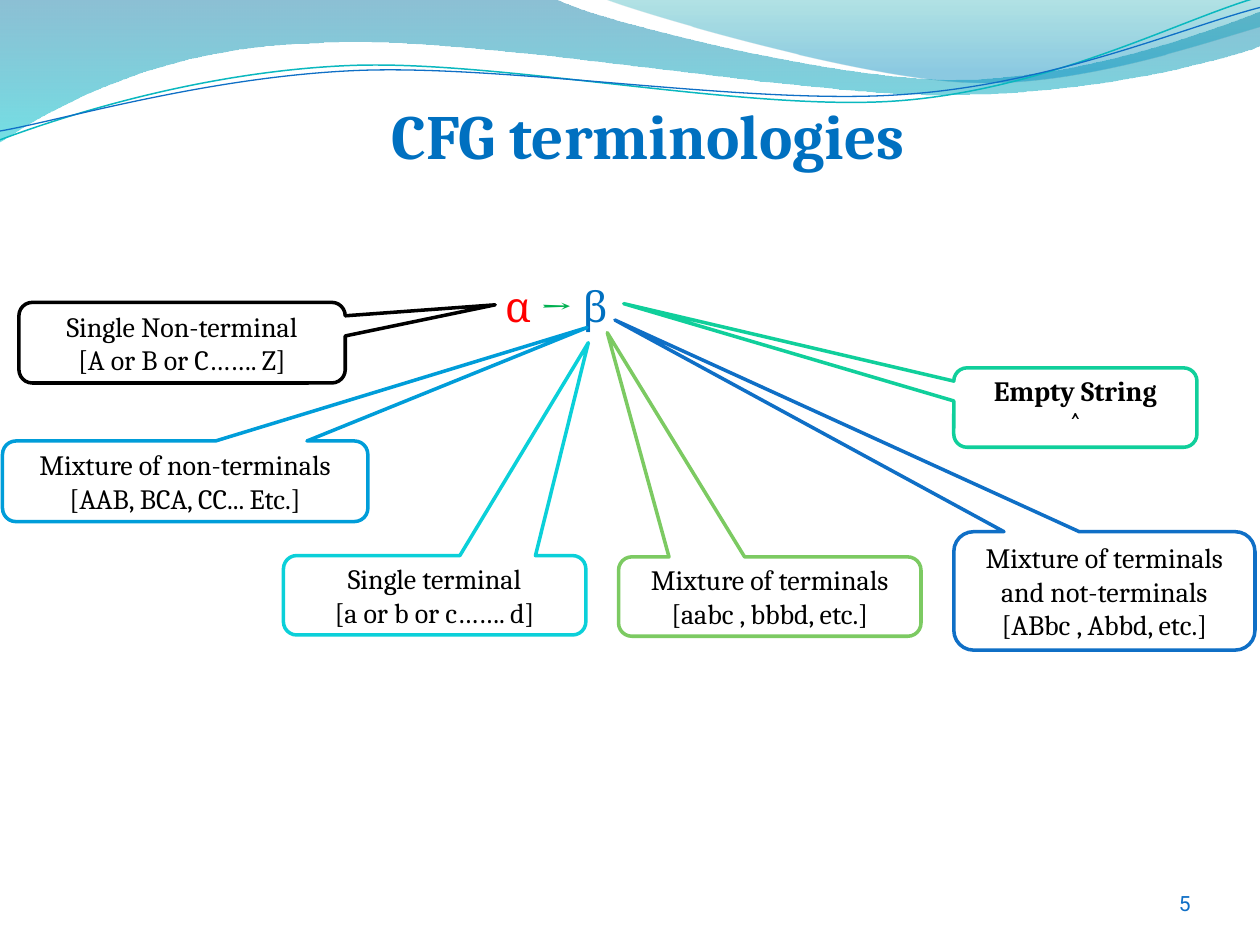
from dataclasses import dataclass
from math import cos, radians, sin

from pptx import Presentation
from pptx.dml.color import RGBColor
from pptx.enum.shapes import MSO_SHAPE
from pptx.enum.text import MSO_ANCHOR, PP_ALIGN
from pptx.oxml.ns import qn
from pptx.oxml.xmlchemy import OxmlElement
from pptx.util import Inches, Pt

CALLOUT = MSO_SHAPE.ROUNDED_RECTANGULAR_CALLOUT
TOP, MIDDLE, BOTTOM = MSO_ANCHOR.TOP, MSO_ANCHOR.MIDDLE, MSO_ANCHOR.BOTTOM
CENTER, RIGHT = PP_ALIGN.CENTER, PP_ALIGN.RIGHT
TILT = 2.7


@dataclass(frozen=True)
class Theme:
    """Colours, fonts and sizes of the slide."""
    white: str = "FFFFFF"
    black: str = "000000"
    blue: str = "0F6FC6"
    sky: str = "009DD9"
    cyan: str = "0BD0D9"
    mint: str = "10CF9B"
    lime: str = "7CCA62"
    head: str = "0070C0"
    red: str = "FF0000"
    green: str = "00B050"
    teal: str = "0AB8BF"
    serif: str = "Cambria"
    sans: str = "Roboto"
    title: int = 36
    rule: int = 24
    body: int = 16
    small: int = 12
    edge: int = 2


T = Theme()

# Each step is one point (straight) or three points (curve).
# Gradient stops: position, colour, opacity in percent.
BANDS = [
    ([(0, 0), (4.4, -.01), (4.76, .17, 6.64, .63, 7.58, .63),
      (8.53, .63, 9.58, .26, 10, .09), (10.01, .36),
      (9.83, .44, 8.7, .76, 7.46, .75), (6.22, .75, 3.82, .28, 2.57, .34),
      (1.29, .36, .46, .83, -.01, 1.13), (0, 0)],
     [(0, "0074A1", 45), (1, "00C6CF", 55)]),
    ([(4.79, -.01), (5.09, .11, 6.82, .62, 7.69, .65),
      (8.56, .69, 9.61, .32, 10, .21), (10, 0), (4.79, -.01)],
     [(0, "00A1A9", 30), (.8, "008BBF", 45)]),
]
# Steps, turning point, colour, width
WAVES = [
    ([(0, 1.11), (.48, .93, 1.58, .57, 2.77, .52),
      (3.95, .47, 5.93, .89, 7.13, .8), (8.33, .71, 9.38, .15, 9.98, -.02)],
     (4.99, .58), T.teal, .85),
    ([(0, 1.04), (.47, .96, 1.64, .61, 2.83, .56),
      (4.03, .51, 5.97, .84, 7.17, .75), (8.36, .67, 9.41, .21, 10, .06)],
     (5, .59), T.blue, .75),
]
# Box, tip of the pointer, edge colour, bold, lines
NOTES = [
    ((.15, 2.4, 2.59, .64), (3.93, 2.42), T.black, False,
     ["Single Non-terminal", "[A or B or C……. Z]"]),
    ((2.25, 4.41, 2.4, .63), (4.67, 2.72), T.cyan, False,
     ["Single terminal", "[a or b or c……. d]"]),
    ((.02, 3.5, 2.9, .64), (4.66, 2.6), T.sky, False,
     ["Mixture of non-terminals", "[AAB, BCA, CC... Etc.]"]),
    ((4.91, 4.42, 2.4, .63), (4.82, 2.64), T.lime, False,
     ["Mixture of terminals", "[aabc , bbbd, etc.]"]),
    ((7.57, 4.22, 2.39, .94), (4.88, 2.54), T.blue, False,
     ["Mixture of terminals and not-terminals", "[ABbc , Abbd, etc.]"]),
    ((7.57, 2.92, 1.93, .63), (4.95, 2.41), T.mint, True,
     ["Empty String", "˄"]),
]
RULE = [("α ", T.red), ("→ ", T.green), ("β", T.head)]


def rgb(code):
    """Turn a hex code into a colour."""
    return RGBColor.from_string(code)


def write(shape, lines, size=T.body, color=T.black, font=T.serif,
          bold=False, align=CENTER, anchor=MIDDLE, inset=None):
    """Fill a shape with lines; a line is text or (text, colour) runs."""
    frame = shape.text_frame
    frame.word_wrap = True
    frame.vertical_anchor = anchor
    if inset is not None:
        frame.margin_left = frame.margin_right = Inches(inset)
        frame.margin_top = frame.margin_bottom = Inches(inset)
    for i, line in enumerate(lines):
        para = frame.add_paragraph() if i else frame.paragraphs[0]
        para.alignment = align
        runs = [(line, color)] if isinstance(line, str) else line
        for text, tint in runs:
            run = para.add_run()
            run.text = text
            run.font.size, run.font.name = Pt(size), font
            run.font.bold = bold
            run.font.color.rgb = rgb(tint)


def label(slide, box, lines, **form):
    """Add a text box."""
    write(slide.shapes.add_textbox(*map(Inches, box)), lines, **form)


def turn(step, mid):
    """Turn the points of a step about mid by the tilt."""
    c, s = cos(radians(TILT)), sin(radians(TILT))
    out = []
    for x, y in zip(step[::2], step[1::2]):
        dx, dy = x - mid[0], y - mid[1]
        out += [mid[0] + dx * c - dy * s, mid[1] + dx * s + dy * c]
    return tuple(out)


def outline(slide, steps, close):
    """Draw a free outline with straight and curved steps."""
    pts = [(Inches(x), Inches(y)) for step in steps
           for x, y in zip(step[::2], step[1::2])]
    pen = slide.shapes.build_freeform(*pts[0])
    pen.add_line_segments(pts[1:], close=close)
    shape = pen.convert_to_shape()
    shape.shadow.inherit = False
    legs = iter(list(shape._element.spPr.iter(qn("a:lnTo"))))
    for step in steps[1:]:
        leg = next(legs)
        if len(step) == 6:
            curve = OxmlElement("a:cubicBezTo")
            leg.addprevious(curve)
            for part in (leg, next(legs), next(legs)):
                curve.append(part[0])
                part.getparent().remove(part)
    return shape


def band(slide, steps, stops):
    """Draw a band with a see-through gradient from top to bottom."""
    shape = outline(slide, steps, True)
    shape.line.fill.background()
    shape.fill.gradient()
    shape.fill.gradient_angle = 270
    for stop, (pos, color, _) in zip(shape.fill.gradient_stops, stops):
        stop.position, stop.color.rgb = pos, rgb(color)
    tints = shape._element.spPr.iter(qn("a:srgbClr"))
    for tint, (_, _, share) in zip(list(tints), stops):
        alpha = OxmlElement("a:alpha")
        alpha.set("val", str(share * 1000))
        tint.append(alpha)


def wave(slide, steps, mid, color, width):
    """Draw a thin tilted curve."""
    shape = outline(slide, [turn(step, mid) for step in steps], False)
    shape.rotation = -TILT
    shape.fill.background()
    shape.line.color.rgb, shape.line.width = rgb(color), Pt(width)


def note(slide, box, tip, color, bold, lines):
    """Draw a callout whose pointer ends at the tip."""
    x, y, w, h = box
    shape = slide.shapes.add_shape(CALLOUT, *map(Inches, box))
    shape.shadow.inherit = False
    shape.adjustments[0] = (tip[0] - x) / w - .5
    shape.adjustments[1] = (tip[1] - y) / h - .5
    shape.fill.solid()
    shape.fill.fore_color.rgb = rgb(T.white)
    shape.line.color.rgb, shape.line.width = rgb(color), Pt(T.edge)
    write(shape, lines, bold=bold)


def main():
    """Build the slide and save it."""
    deck = Presentation()
    deck.slide_width, deck.slide_height = Inches(10), Inches(7.5)
    slide = deck.slides.add_slide(deck.slide_layouts[6])
    for item in BANDS:
        band(slide, *item)
    for item in WAVES:
        wave(slide, *item)
    label(slide, (8.87, 6.83, .58, .44), ["5"], size=T.small, color=T.blue,
          font=T.sans, align=RIGHT, anchor=BOTTOM, inset=0)
    label(slide, (.95, .72, 8.5, .57), ["CFG terminologies "], size=T.title,
          color=T.head, bold=True, anchor=TOP)
    label(slide, (3.38, 2.18, 2.07, .5), [RULE], size=T.rule, anchor=TOP)
    for item in NOTES:
        note(slide, *item)
    deck.save("out.pptx")


main()
